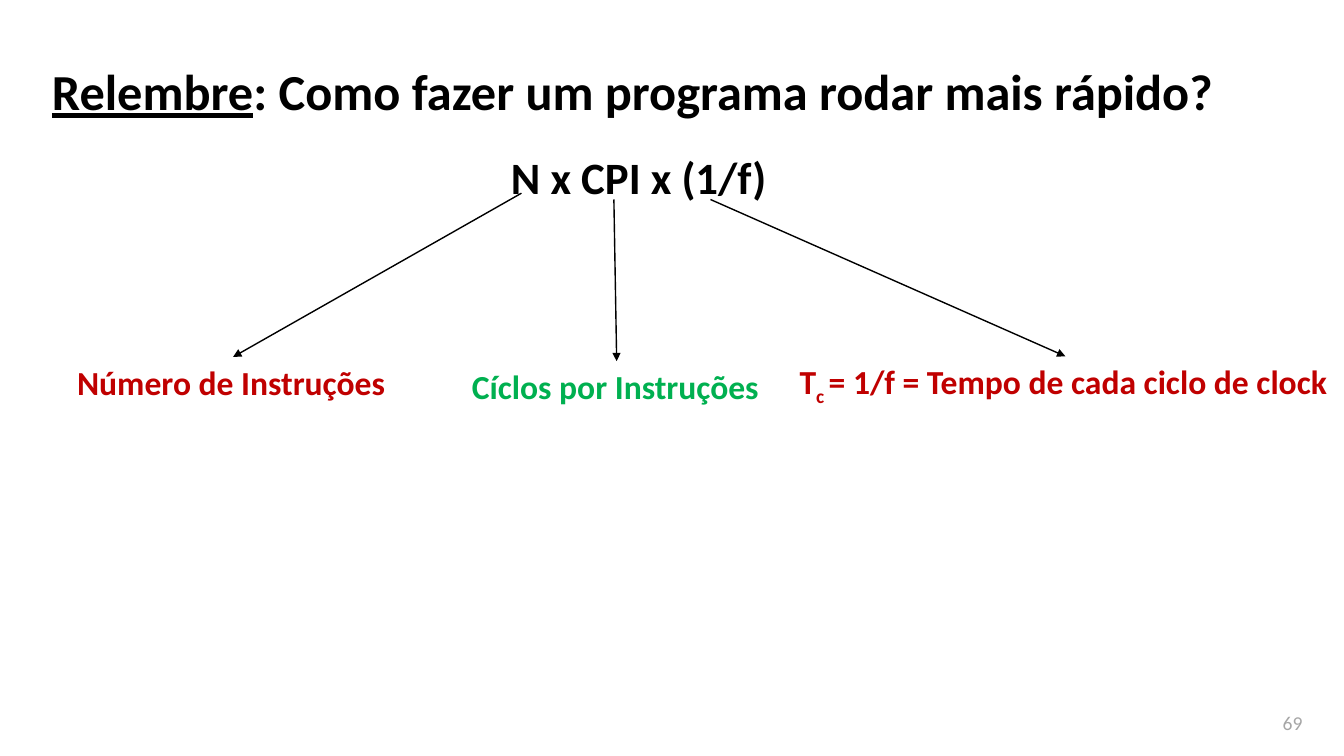
import pptx
import pptx.dml.color
import pptx.enum.shapes
import pptx.enum.text
import pptx.oxml
import pptx.oxml.ns
import pptx.util
from pptx.enum.text import MSO_ANCHOR, PP_ALIGN

Pt = pptx.util.Pt
BLACK, RED, GREEN, GRAY = "000000", "C00000", "00B050", "A6A6A6"


def color(hex_string):
    return pptx.dml.color.RGBColor.from_string(hex_string)


def add_text(slide, text, box, size=24, fill=BLACK, bold=True, align=PP_ALIGN.LEFT,
             anchor=MSO_ANCHOR.TOP, wrap=True, spacing=None, underlined=(), subscript=()):
    frame = slide.shapes.add_textbox(*map(Pt, box)).text_frame
    frame.word_wrap = wrap
    frame.vertical_anchor = anchor
    paragraph = frame.paragraphs[0]
    paragraph.alignment = align
    paragraph.line_spacing = spacing
    for part in [text] if isinstance(text, str) else text:
        run = paragraph.add_run()
        run.text = part
        run.font.name = "Calibri"
        run.font.size = Pt(size)
        run.font.bold = bold
        run.font.color.rgb = color(fill)
        if part in underlined:
            run.font.underline = True
        if part in subscript:
            run.font._element.set("baseline", "-25000")


def add_arrow(slide, start, end):
    arrow = slide.shapes.add_connector(
        pptx.enum.shapes.MSO_CONNECTOR.STRAIGHT, *map(Pt, start + end))
    arrow.line.color.rgb = color(BLACK)
    arrow.line.width = Pt(1)
    head = pptx.oxml.parse_xml(
        f'<a:tailEnd {pptx.oxml.ns.nsdecls("a")} type="triangle"/>')
    arrow.line._get_or_add_ln().append(head)
    arrow._element.spPr.append(
        pptx.oxml.parse_xml(f'<a:effectLst {pptx.oxml.ns.nsdecls("a")}/>'))


def main():
    presentation = pptx.Presentation()
    presentation.slide_width, presentation.slide_height = Pt(960), Pt(540)
    slide = presentation.slides.add_slide(presentation.slide_layouts[6])

    add_text(slide, "69", (864, 504, 73.5, 24.5), size=14, fill=GRAY, bold=False,
             align=PP_ALIGN.RIGHT)
    add_text(slide, ["Relembre", ": Como fazer um programa rodar mais rápido?"],
             (30, 34.5, 888, 60), size=36, anchor=MSO_ANCHOR.MIDDLE,
             underlined=["Relembre"])
    add_text(slide, "N x CPI x (1/f)", (42, 107.5, 828.5, 49), size=32,
             align=PP_ALIGN.CENTER, spacing=0.9)

    clock_period = ["T", "c ", "= 1/f = Tempo de cada ciclo de clock"]
    factors = [
        ("Número de Instruções", RED, (48, 255, 237, 36),
         (372.5, 138), (166.5, 255)),
        ("Cíclos por Instruções", GREEN, (330, 258, 222, 36),
         (438.5, 142.5), (440.5, 258)),
        (clock_period, RED, (564, 254.5, 394, 36),
         (507.5, 142.5), (761, 254.5)),
    ]
    for meaning, fill, box, start, end in factors:
        add_text(slide, meaning, box, fill=fill, wrap=False, subscript=["c "])
        add_arrow(slide, start, end)

    presentation.save("out.pptx")


if __name__ == "__main__":
    main()
